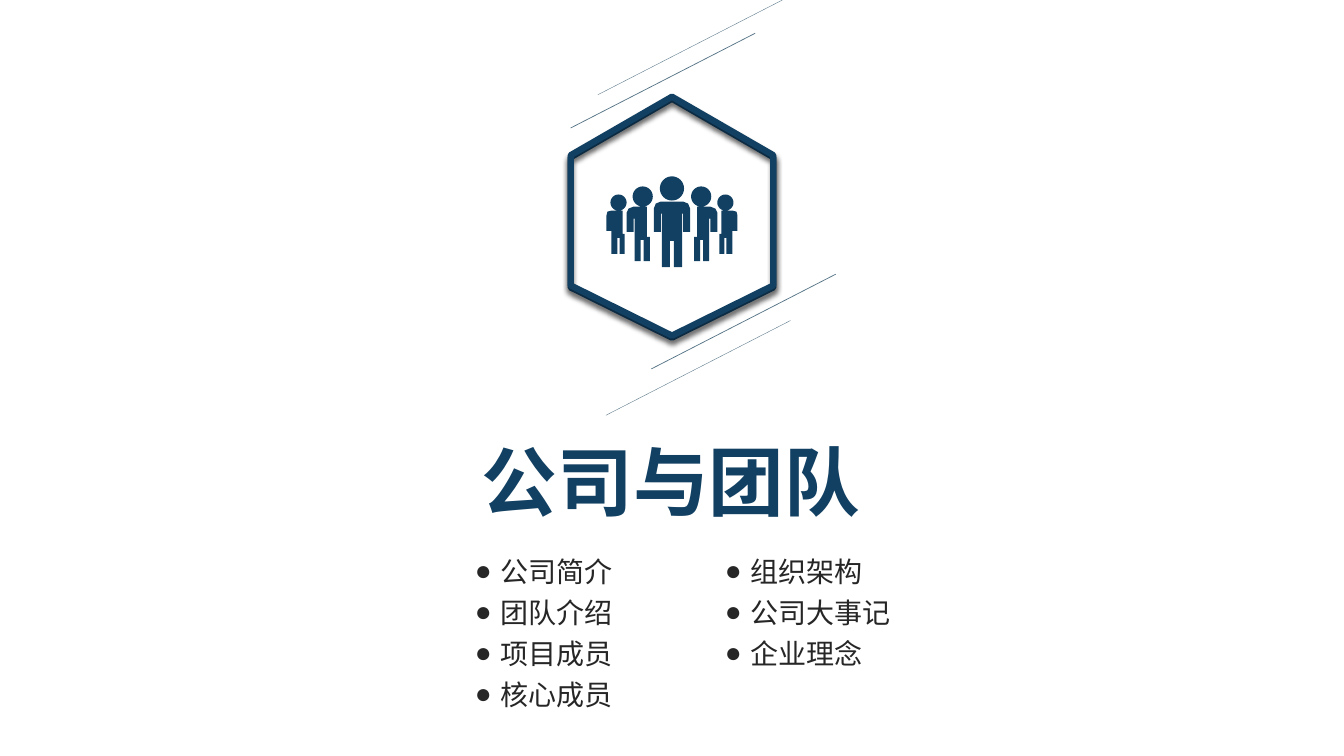
from math import cos, pi, sin

from lxml.etree import SubElement
from pptx import Presentation
from pptx.dml.color import RGBColor
from pptx.enum.text import MSO_ANCHOR, MSO_AUTO_SIZE, PP_ALIGN
from pptx.enum.shapes import MSO_CONNECTOR
from pptx.oxml.ns import qn
from pptx.util import Inches, Pt

NAVY = RGBColor(0x12, 0x40, 0x62)
SLATE = RGBColor(0x53, 0x72, 0x85)
CHARCOAL = RGBColor(0x26, 0x26, 0x26)
FONT = "Noto Sans CJK SC"

HEXAGON = [(0.5, 0), (1, 0.245), (1, 0.79), (0.5, 1), (0, 0.79), (0, 0.245)]
HEADS = [(0, 0.12, 0.12), (0.29, 0.2, 0.1), (0.53, 0.26, 0.08)]
CENTRE_HALF = [
    (0.02, 0.64), (0.02, 0.9), (0.1, 0.9), (0.1, 0.37), (0.11, 0.37), (0.11, 0.55),
    (0.18, 0.55), (0.18, 0.32), (0.16, 0.27), (0.11, 0.25),
]
INNER_BODY = [
    (0.22, 0.6), (0.22, 0.84), (0.28, 0.84), (0.28, 0.63), (0.31, 0.63), (0.31, 0.84),
    (0.37, 0.84), (0.37, 0.42), (0.38, 0.42), (0.38, 0.55), (0.45, 0.55), (0.45, 0.36),
    (0.43, 0.32), (0.38, 0.3), (0.25, 0.3), (0.25, 0.6),
]
OUTER_BODY = [
    (0.47, 0.57), (0.47, 0.77), (0.52, 0.77), (0.52, 0.61), (0.54, 0.61), (0.54, 0.77),
    (0.6, 0.77), (0.6, 0.54), (0.65, 0.54), (0.65, 0.39), (0.64, 0.35), (0.6, 0.34),
    (0.49, 0.34), (0.49, 0.57),
]


def mirror(points):
    return [(-x, y) for x, y in reversed(points)]


def circle(x, y, radius, steps=32):
    angles = [2 * pi * step / steps for step in range(steps)]
    return [(x + radius * cos(angle), y + radius * sin(angle)) for angle in angles]


def draw_outline(page, left, top, contours):
    builder = None
    for contour in contours:
        start, *rest = [(Inches(x), Inches(y)) for x, y in contour]
        if builder is None:
            builder = page.shapes.build_freeform(*start)
        else:
            builder.move_to(*start)
        builder.add_line_segments(rest, close=True)
    shape = builder.convert_to_shape(Inches(left), Inches(top))
    shape.shadow.inherit = False
    return shape


def draw_hexagon(page, left, top, width, height):
    corners = [(x * width, y * height) for x, y in HEXAGON]
    shape = draw_outline(page, left, top, [corners])
    shape.fill.background()
    shape.line.color.rgb = NAVY
    shape.line.width = Pt(4.5)
    effects = shape._element.spPr.find(qn("a:effectLst"))
    shadow = SubElement(effects, qn("a:outerShdw"), blurRad=str(Pt(4)),
                        dist=str(Pt(3)), dir="5400000", algn="t", rotWithShape="0")
    color = SubElement(shadow, qn("a:srgbClr"), val="000000")
    SubElement(color, qn("a:alpha"), val="40000")


def draw_team(page, left, top, width):
    right_side = [circle(*head) for head in HEADS[1:]] + [INNER_BODY, OUTER_BODY]
    contours = [circle(*HEADS[0]), CENTRE_HALF + mirror(CENTRE_HALF)]
    contours += right_side + [mirror(contour) for contour in right_side]
    shape = draw_outline(page, left + width / 2, top, contours)
    shape.fill.solid()
    shape.fill.fore_color.rgb = NAVY
    shape.line.fill.background()


def draw_slant(page, left, top, width, height, weight):
    line = page.shapes.add_connector(
        MSO_CONNECTOR.STRAIGHT, Inches(left), Inches(top + height),
        Inches(left + width), Inches(top))
    line.line.color.rgb = SLATE
    line.line.width = Pt(weight)
    SubElement(line._element.spPr, qn("a:effectLst"))


def draw_emblem(page, left, top, width, height):
    for lift in (0.02, 0):
        draw_hexagon(page, left, top + lift, width, height)
    draw_team(page, left + 0.35, top + 0.79, 1.31)
    for x, y, weight in [(0.8, 1.76, 0.5), (0.35, 2.22, 0.25),
                         (0, -0.63, 0.5), (0.27, -0.96, 0.25)]:
        draw_slant(page, left + x, top + y, 1.83, 0.94, weight)


def write_text(para, text, size, color, bold=False):
    para.alignment = PP_ALIGN.LEFT
    span = para.add_run()
    span.text = text
    span.font.size = Pt(size)
    span.font.bold = bold
    span.font.color.rgb = color
    span.font.name = FONT
    SubElement(span.font._element, qn("a:ea"), typeface=FONT)


def place(box, left, top, width, height):
    box.left, box.top = Inches(left), Inches(top)
    box.width, box.height = Inches(width), Inches(height)
    box.text_frame.auto_size = MSO_AUTO_SIZE.NONE
    return box.text_frame


def fill_title(box, text, left, top, width, height):
    frame = place(box, left, top, width, height)
    frame.word_wrap = False
    frame.vertical_anchor = MSO_ANCHOR.MIDDLE
    write_text(frame.paragraphs[0], text, size=54, color=NAVY, bold=True)


def fill_list(box, items, left, top, width, height):
    frame = place(box, left, top, width, height)
    frame.word_wrap = True
    frame.vertical_anchor = MSO_ANCHOR.TOP
    frame.margin_left = frame.margin_right = 0
    frame.margin_top = frame.margin_bottom = 0
    for index, item in enumerate(items):
        para = frame.add_paragraph() if index else frame.paragraphs[0]
        properties = para._p.get_or_add_pPr()
        properties.set("marL", str(Inches(0.25)))
        properties.set("indent", str(-Inches(0.25)))
        SubElement(properties, qn("a:buFont"), typeface="Arial")
        SubElement(properties, qn("a:buChar"), char="●")
        para.space_before = Pt(5.2 if index else 0)
        write_text(para, item, size=20, color=CHARCOAL)


def build_section(deck):
    page = deck.slides.add_slide(deck.slide_layouts[3])
    title, first, second = page.placeholders
    draw_emblem(page, 5.66, 0.96, 2.01, 2.37)
    fill_title(title, "公司与团队", 4.68, 4.26, 3.99, 1.01)
    fill_list(first, ["公司简介", "团队介绍", "项目成员", "核心成员"],
              4.71, 5.5, 2.4, 1.9)
    fill_list(second, ["组织架构", "公司大事记", "企业理念"],
              7.19, 5.5, 2.4, 1.9)


def main():
    deck = Presentation()
    deck.slide_width = Inches(13.33)
    deck.slide_height = Inches(7.5)
    build_section(deck)
    deck.save("out.pptx")


if __name__ == "__main__":
    main()
